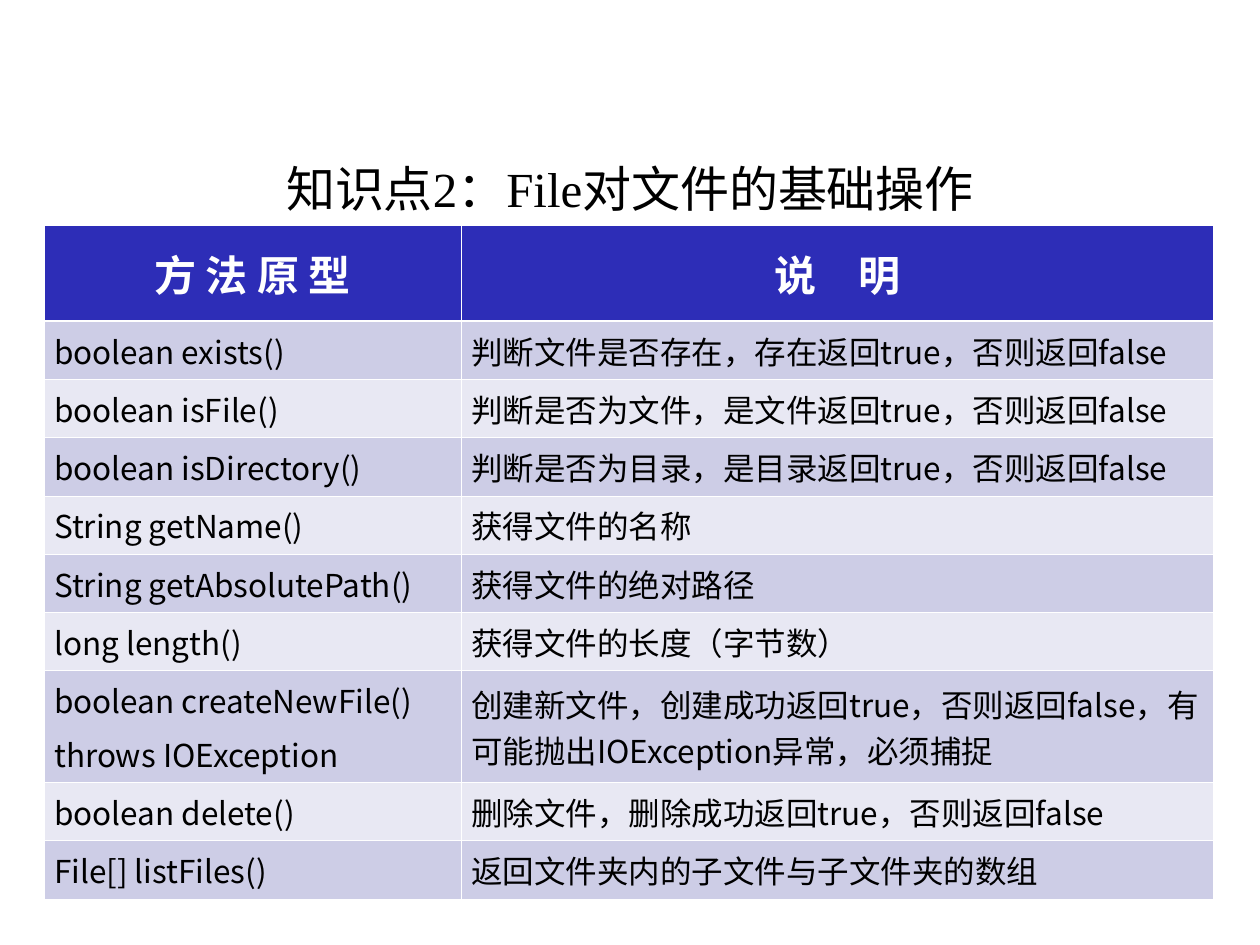
from lxml import etree
from pptx import Presentation
from pptx.dml.color import RGBColor
from pptx.enum.text import MSO_ANCHOR, PP_ALIGN
from pptx.oxml.ns import qn
from pptx.util import Inches, Pt

CENTER, LEFT = PP_ALIGN.CENTER, PP_ALIGN.LEFT
MIDDLE = MSO_ANCHOR.MIDDLE
SANS, SERIF = "Noto Sans CJK SC", "Times New Roman"
WHITE, BLACK, BLUE = "FFFFFF", "000000", "2D2DB7"
BANDS = ["CDCDE6", "E8E8F3"]
THIN, THICK = 0.45, 1.47

TITLE_FONT = {"name": SERIF, "size": Pt(28), "bold": False}
HEADER_FONT = {"name": SANS, "size": Pt(24), "bold": True}
BODY_FONT = {"name": SANS, "size": Pt(18), "bold": False}
HEADER_PARAGRAPH = {"alignment": CENTER, "space_before": Pt(6)}
BODY_PARAGRAPH = {"alignment": LEFT, "space_before": Pt(4.5)}
CELL_FORMAT = {
    "vertical_anchor": MIDDLE,
    "margin_left": Inches(0.08),
    "margin_right": Inches(0.08),
    "margin_top": Inches(0.05),
    "margin_bottom": Inches(0.05),
}
COLUMN_WIDTHS = [3.31, 5.97]
HEADER_HEIGHT, ROW_HEIGHT, TALL_HEIGHT = 0.76, 0.4, 0.77
ROWS = [
    ("方 法 原 型", "说　明"),
    ("boolean exists()", "判断文件是否存在，存在返回true，否则返回false"),
    ("boolean isFile()", "判断是否为文件，是文件返回true，否则返回false"),
    ("boolean isDirectory()", "判断是否为目录，是目录返回true，否则返回false"),
    ("String getName()", "获得文件的名称"),
    ("String getAbsolutePath()", "获得文件的绝对路径"),
    ("long length()", "获得文件的长度（字节数）"),
    ("boolean createNewFile()\nthrows IOException",
     "创建新文件，创建成功返回true，否则返回false，有可能抛出IOException异常，必须捕捉"),
    ("boolean delete()", "删除文件，删除成功返回true，否则返回false"),
    ("File[] listFiles()", "返回文件夹内的子文件与子文件夹的数组"),
]


def color(value):
    return RGBColor.from_string(value)


def write_text(text_frame, text, font_format, paragraph_format, text_color):
    text_frame.text = text
    for paragraph in text_frame.paragraphs:
        for name, value in paragraph_format.items():
            setattr(paragraph, name, value)
        for run in paragraph.runs:
            for name, value in font_format.items():
                setattr(run.font, name, value)
            run.font.color.rgb = color(text_color)
            east_asian = etree.SubElement(run.font._element, qn("a:ea"))
            east_asian.set("typeface", SANS)


presentation = Presentation()
presentation.slide_width = Inches(10)
presentation.slide_height = Inches(7.5)
slide = presentation.slides.add_slide(presentation.slide_layouts[5])

title = slide.shapes.title
title.left, title.top = Inches(0.75), Inches(1.08)
title.width, title.height = Inches(8.5), Inches(0.83)
title.text_frame.vertical_anchor = MIDDLE
write_text(title.text_frame, "知识点2：File对文件的基础操作", TITLE_FONT,
           {"alignment": CENTER}, BLACK)

row_heights = [TALL_HEIGHT if "\n" in method else ROW_HEIGHT for method, _ in ROWS]
row_heights[0] = HEADER_HEIGHT
table = slide.shapes.add_table(
    len(ROWS), len(COLUMN_WIDTHS), Inches(0.35), Inches(1.79),
    Inches(sum(COLUMN_WIDTHS)), Inches(sum(row_heights))).table
for column, width in zip(table.columns, COLUMN_WIDTHS):
    column.width = Inches(width)

for row_index, texts in enumerate(ROWS):
    table.rows[row_index].height = Inches(row_heights[row_index])
    is_header = row_index == 0
    fill_color = BLUE if is_header else BANDS[(row_index - 1) % 2]
    borders = {
        "a:lnL": THIN,
        "a:lnR": THIN,
        "a:lnT": THICK if row_index == 1 else THIN,
        "a:lnB": THICK if is_header else THIN,
    }
    for column_index, text in enumerate(texts):
        cell = table.cell(row_index, column_index)
        for name, value in CELL_FORMAT.items():
            setattr(cell, name, value)
        write_text(cell.text_frame, text,
                   HEADER_FONT if is_header else BODY_FONT,
                   HEADER_PARAGRAPH if is_header else BODY_PARAGRAPH,
                   WHITE if is_header else BLACK)
        properties = cell._tc.get_or_add_tcPr()
        for tag, width in borders.items():
            line = etree.SubElement(properties, qn(tag), w=str(Pt(width)))
            solid_fill = etree.SubElement(line, qn("a:solidFill"))
            etree.SubElement(solid_fill, qn("a:srgbClr"), val=WHITE)
        cell.fill.solid()
        cell.fill.fore_color.rgb = color(fill_color)

presentation.save("out.pptx")
